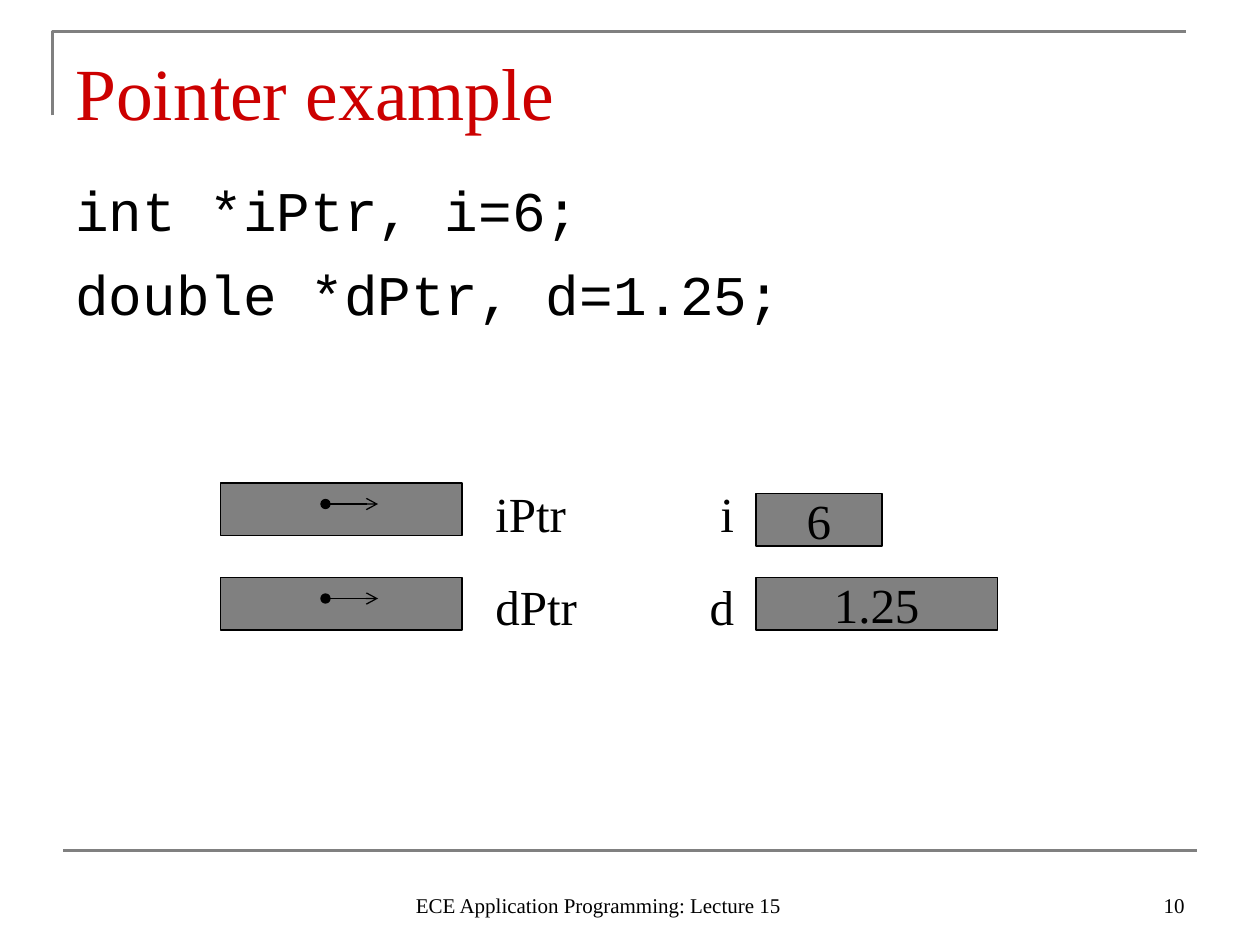
from lxml import etree
from pptx import Presentation, util as u
from pptx.dml.color import RGBColor
from pptx.enum import shapes, text
from pptx.oxml.ns import qn

Pt = u.Pt
SERIF, MONO = "Times New Roman", "Courier New"
BLACK, GRAY, RED = "000000", "808080", "CC0000"
LEFT, CENTER, RIGHT = text.PP_ALIGN.LEFT, text.PP_ALIGN.CENTER, text.PP_ALIGN.RIGHT
TOP, MIDDLE, BOTTOM = (text.MSO_ANCHOR.TOP, text.MSO_ANCHOR.MIDDLE,
                       text.MSO_ANCHOR.BOTTOM)


def color(value):
    return RGBColor.from_string(value)


def write(box, lines, size, font=SERIF, ink=BLACK, align=LEFT, anchor=TOP,
          gap=0, wrap=True):
    """Fill a box with one paragraph per line, gap points apart."""
    frame = box.text_frame
    frame.word_wrap = wrap
    frame.vertical_anchor = anchor
    for index, line in enumerate(lines):
        para = frame.add_paragraph() if index else frame.paragraphs[0]
        para.alignment = align
        if index:
            para.space_before = Pt(gap)
        span = para.add_run()
        span.text = line
        span.font.name = font
        span.font.size = Pt(size)
        span.font.color.rgb = color(ink)


deck = Presentation()
deck.slide_width, deck.slide_height = Pt(720), Pt(540)
page = deck.slides.add_slide(deck.slide_layouts[6])

# Frame lines
builder = page.shapes.build_freeform(Pt(30), Pt(66))
builder.add_line_segments([(Pt(30), Pt(18)), (Pt(678), Pt(18))], close=False)
corner = builder.convert_to_shape()
corner.shadow.inherit = False
corner.fill.background()
corner.line.color.rgb = color(GRAY)
corner.line.width = Pt(1.5)

# Text: left, top, width, height, lines, style
texts = [
    (36, 21.6, 648, 59, ["Pointer example"],
     dict(size=42, ink=RED, anchor=BOTTOM)),
    (36, 96.5, 648, 137.5, ["int *iPtr, i=6;", "double *dPtr, d=1.25;"],
     dict(size=32, font=MONO, gap=10)),
    (228, 492, 228, 36, ["ECE Application Programming: Lecture 15"],
     dict(size=12, align=CENTER, anchor=BOTTOM)),
    (516, 492, 168, 36, ["10"], dict(size=12, align=RIGHT, anchor=BOTTOM)),
    (276, 273, 78, 92, ["iPtr", "dPtr"], dict(size=28, gap=19.2)),
    (384, 273, 42.5, 92, ["i", "d"], dict(size=28, gap=19.2, align=RIGHT)),
]
for left, top, width, height, lines, style in texts:
    box = page.shapes.add_textbox(Pt(left), Pt(top), Pt(width), Pt(height))
    write(box, lines, **style)

# Memory cells: left, top, width, value
cells = [(126, 276, 138, ""), (126, 330, 138, ""),
         (432, 282, 72, "6"), (432, 330, 138, "1.25")]
for left, top, width, value in cells:
    cell = page.shapes.add_shape(shapes.MSO_SHAPE.RECTANGLE,
                                 Pt(left), Pt(top), Pt(width), Pt(30))
    cell.shadow.inherit = False
    cell.fill.solid()
    cell.fill.fore_color.rgb = color(GRAY)
    cell.line.color.rgb = color(BLACK)
    cell.line.width = Pt(0.75)
    if value:
        write(cell, [value], 28, align=CENTER, anchor=MIDDLE, wrap=False)

# Footer rule and pointer arrows: start x, end x, y, color, width, arrow
rules = [(36, 684, 486, GRAY, 1.5, False),
         (186, 216, 288, BLACK, 0.75, True),
         (186, 216, 342, BLACK, 0.75, True)]
for start, end, y, ink, width, arrow in rules:
    rule = page.shapes.add_connector(shapes.MSO_CONNECTOR.STRAIGHT,
                                     Pt(start), Pt(y), Pt(end), Pt(y))
    rule.line.color.rgb = color(ink)
    rule.line.width = Pt(width)
    if arrow:
        line = rule.line._get_or_add_ln()
        etree.SubElement(line, qn("a:headEnd"), type="oval")
        etree.SubElement(line, qn("a:tailEnd"), type="arrow")
    etree.SubElement(rule._element.spPr, qn("a:effectLst"))

deck.save("out.pptx")
